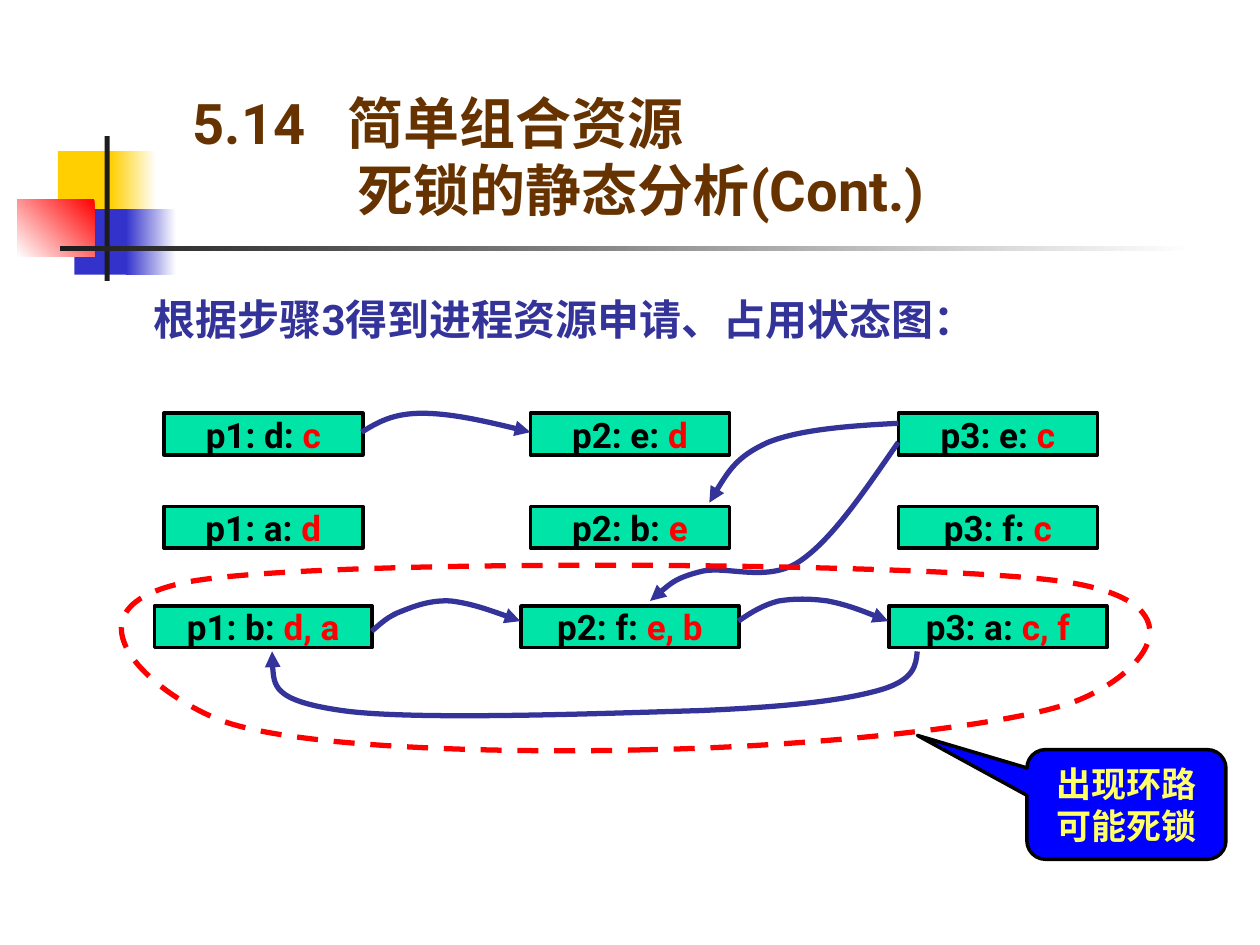
import pptx
import pptx.dml.color
import pptx.enum.dml
import pptx.enum.shapes
import pptx.enum.text
import pptx.oxml
import pptx.oxml.ns
import pptx.util
from lxml import etree
from pptx.util import Inches

COLORS = {
    "yellow": "FFCF01", "blue": "3333CC", "red": "FF0000", "white": "FFFFFF",
    "dark": "1C1C1C", "title": "663300", "indigo": "333399", "green": "00E4A8",
    "black": "000000", "callout": "0000FF", "callout_text": "FFFF66",
}
RGB = {name: pptx.dml.color.RGBColor.from_string(value) for name, value in COLORS.items()}
RECTANGLE = pptx.enum.shapes.MSO_SHAPE.RECTANGLE
ANCHOR = pptx.enum.text.MSO_ANCHOR
CENTER = pptx.enum.text.PP_ALIGN.CENTER
qn = pptx.oxml.ns.qn


def write(shape, lines, size, color, anchor, align=None):
    frame = shape.text_frame
    frame.word_wrap = True
    frame.vertical_anchor = anchor
    frame.margin_left = frame.margin_right = frame.margin_top = frame.margin_bottom = 0
    for index, line in enumerate(lines):
        paragraph = frame.add_paragraph() if index else frame.paragraphs[0]
        paragraph.text = line
        paragraph.alignment = align
        paragraph.font.name = "Roboto"
        paragraph.font.size = pptx.util.Pt(size)
        paragraph.font.bold = True
        paragraph.font.color.rgb = RGB[color]
    return frame


def draw_curve(points, color, close=False):
    start, *rest = [(Inches(x), Inches(y)) for x, y in points]
    builder = slide.shapes.build_freeform(*start)
    builder.add_line_segments(rest, close=close)
    curve = builder.convert_to_shape()
    segments = list(curve._element.iter(qn("a:lnTo")))
    for first, second, third in zip(segments[::3], segments[1::3], segments[2::3]):
        bezier = etree.Element(qn("a:cubicBezTo"))
        first.addprevious(bezier)
        for segment in (first, second, third):
            bezier.append(segment[0])
            segment.getparent().remove(segment)
    curve.shadow.inherit = False
    curve.fill.background()
    curve.line.color.rgb = RGB[color]
    curve.line.width = pptx.util.Pt(3)
    return curve


deck = pptx.Presentation()
deck.slide_width = Inches(10)
deck.slide_height = Inches(7.5)
slide = deck.slides.add_slide(deck.slide_layouts[6])

decorations = [
    (0.46, 1.2, 0.48, 0.52, ["yellow"], None),
    (0.88, 1.2, 0.36, 0.52, ["white", "yellow"], 180),
    (0.59, 1.66, 0.46, 0.52, ["blue"], None),
    (1, 1.66, 0.4, 0.52, ["white", "blue"], 180),
    (0.14, 1.58, 0.61, 0.46, ["red", "white"], 225),
    (0.83, 1.08, 0.04, 1.15, ["dark"], None),
    (0.48, 1.95, 9, 0.04, ["white", "dark"], 180),
]
for left, top, width, height, colors, angle in decorations:
    block = slide.shapes.add_shape(RECTANGLE, Inches(left), Inches(top), Inches(width), Inches(height))
    block.shadow.inherit = False
    block.line.fill.background()
    if angle is None:
        block.fill.solid()
        block.fill.fore_color.rgb = RGB[colors[0]]
    else:
        block.fill.gradient()
        block.fill.gradient_angle = angle
        for stop, color in zip(block.fill.gradient_stops, colors):
            stop.color.rgb = RGB[color]

title = slide.shapes.add_textbox(Inches(1.53), Inches(0.7), Inches(6.46), Inches(1.07))
title_frame = write(title, ["5.14\t简单组合资源", "死锁的静态分析(Cont.)"], 32, "title", ANCHOR.BOTTOM)
number_format = title_frame.paragraphs[0]._p.get_or_add_pPr()
tab_list = etree.Element(qn("a:tabLst"))
etree.SubElement(tab_list, qn("a:tab"), pos=str(Inches(1.23)), algn="l")
number_format.insert(0, tab_list)
title_frame.paragraphs[1]._p.get_or_add_pPr().set("marL", str(Inches(1.31)))

subtitle = slide.shapes.add_textbox(Inches(1.22), Inches(2.33), Inches(6.77), Inches(0.4))
write(subtitle, ["根据步骤3得到进程资源申请、占用状态图："], 24, "indigo", ANCHOR.TOP)

column_centers = [2.09, 5, 7.92]
state_rows = [
    (3.28, 1.58, [("p1: d: ", "c"), ("p2: e: ", "d"), ("p3: e: ", "c")]),
    (4.02, 1.58, [("p1: a: ", "d"), ("p2: b: ", "e"), ("p3: f: ", "c")]),
    (4.81, 1.73, [("p1: b: ", "d, a"), ("p2: f: ", "e, b"), ("p3: a: ", "c, f")]),
]
for top, width, states in state_rows:
    for center, (request, held) in zip(column_centers, states):
        box = slide.shapes.add_shape(
            RECTANGLE, Inches(center - width / 2), Inches(top), Inches(width), Inches(0.33))
        box.shadow.inherit = False
        box.fill.solid()
        box.fill.fore_color.rgb = RGB["green"]
        box.line.color.rgb = RGB["black"]
        box.line.width = pptx.util.Pt(2)
        frame = write(box, [request], 20, "black", ANCHOR.MIDDLE, CENTER)
        span = frame.paragraphs[0].add_run()
        span.text = held
        span.font.color.rgb = RGB["red"]

arrows = [
    [(2.87, 3.43), (3, 3.35), (3.12, 3.28), (3.35, 3.28), (3.57, 3.28), (3.89, 3.35), (4.21, 3.43)],
    [(2.95, 5.01), (3.02, 4.95), (3.08, 4.89), (3.19, 4.85), (3.29, 4.81), (3.42, 4.76),
     (3.58, 4.77), (3.74, 4.79), (3.94, 4.86), (4.13, 4.93)],
    [(5.86, 4.93), (5.96, 4.86), (6.06, 4.8), (6.18, 4.77), (6.3, 4.75), (6.43, 4.75),
     (6.57, 4.77), (6.72, 4.8), (6.88, 4.86), (7.05, 4.93)],
    [(7.13, 3.36), (6.74, 3.38), (6.35, 3.41), (6.1, 3.51), (5.85, 3.62), (5.74, 3.8), (5.63, 3.99)],
    [(7.13, 3.51), (6.86, 3.9), (6.6, 4.29), (6.34, 4.46), (6.08, 4.63), (5.75, 4.48),
     (5.55, 4.54), (5.36, 4.59), (5.26, 4.68), (5.16, 4.77)],
    [(7.28, 5.17), (7.27, 5.28), (7.26, 5.4), (6.97, 5.48), (6.68, 5.56), (6.26, 5.61),
     (5.55, 5.64), (4.84, 5.66), (3.28, 5.72), (2.72, 5.64), (2.15, 5.56), (2.16, 5.36), (2.16, 5.17)],
]
for points in arrows:
    arrow = draw_curve(points, "indigo")
    etree.SubElement(arrow._element.spPr.find(qn("a:ln")), qn("a:tailEnd"), type="triangle")

cycle_points = [
    (5.15, 5.95), (4.02, 5.98), (2.36, 5.94), (1.76, 5.72), (1.16, 5.49), (0.43, 4.8),
    (1.54, 4.61), (2.65, 4.43), (7.23, 4.46), (8.4, 4.61), (9.57, 4.77), (9.1, 5.34),
    (8.55, 5.56), (7.99, 5.78), (6.28, 5.93), (5.15, 5.95),
]
cycle = draw_curve(cycle_points, "red", close=True)
cycle.line.dash_style = pptx.enum.dml.MSO_LINE.DASH

callout = slide.shapes.add_shape(
    pptx.enum.shapes.MSO_SHAPE.ROUNDED_RECTANGULAR_CALLOUT,
    Inches(8.15), Inches(5.95), Inches(1.58), Inches(0.87))
callout.shadow.inherit = False
for index, value in enumerate([-1.05, -0.63, 0.17]):
    callout.adjustments[index] = value
callout.fill.solid()
callout.fill.fore_color.rgb = RGB["callout"]
callout.line.color.rgb = RGB["black"]
callout.line.width = pptx.util.Pt(2)
write(callout, ["出现环路", "可能死锁"], 20, "callout_text", ANCHOR.MIDDLE, CENTER)

deck.save("out.pptx")
